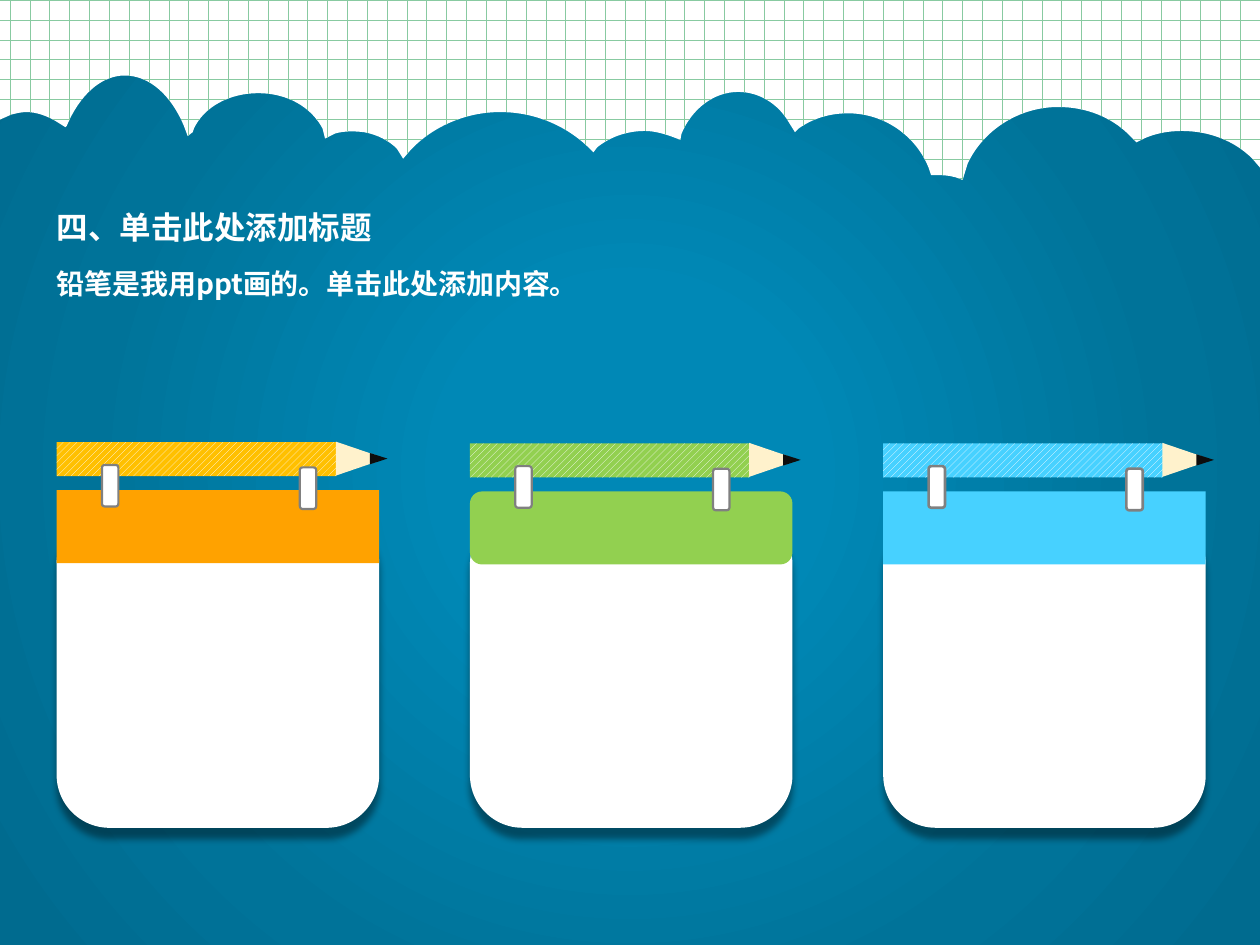
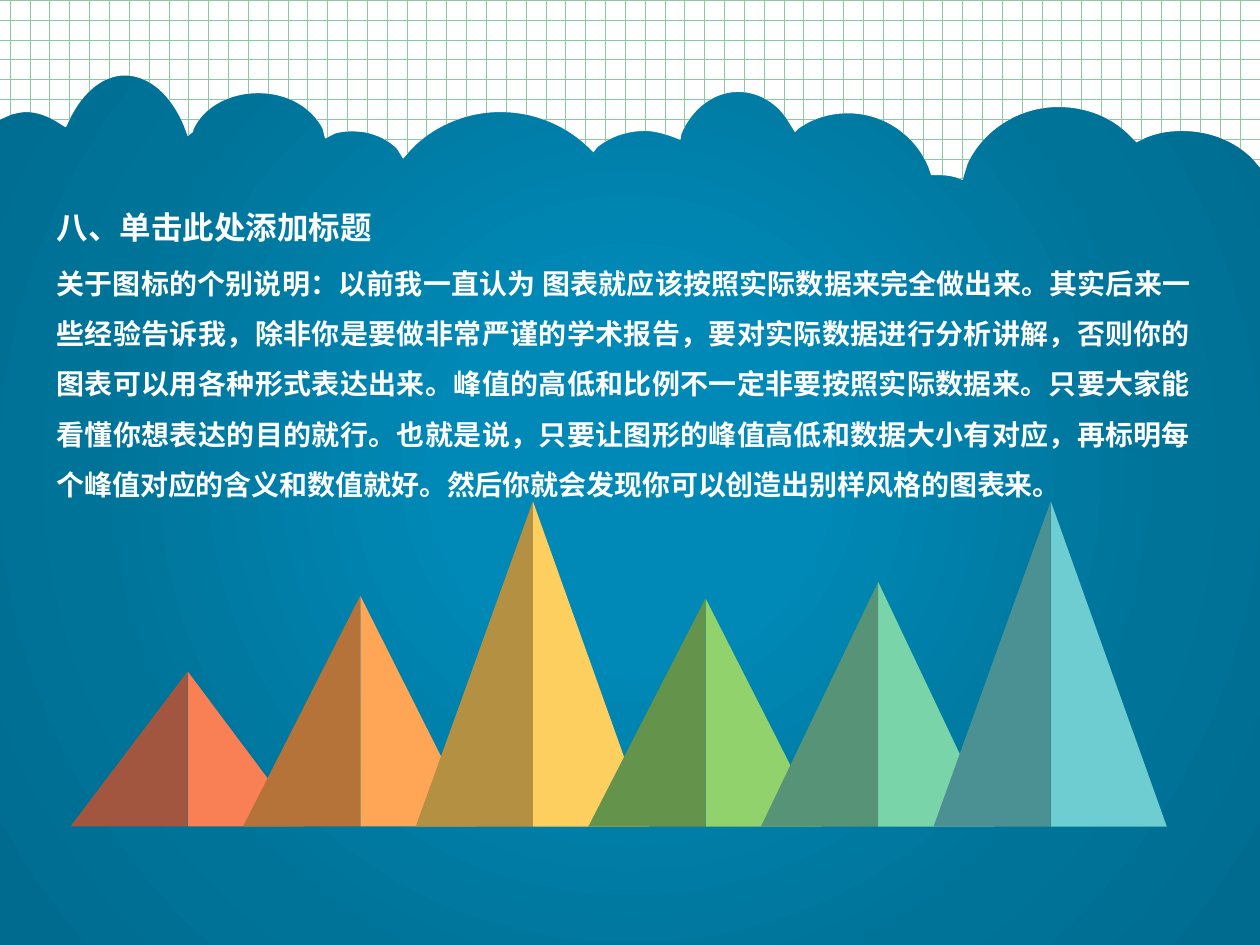
from lxml import etree
from pptx import Presentation, util as u
from pptx.dml.color import RGBColor
from pptx.enum import dml, shapes, text
from pptx.oxml.ns import nsdecls, qn

PX = 9144  # 100 px to the inch
WIDTH, HEIGHT = 1000, 750
FONT = "Noto Sans CJK SC"
WHITE, GREY, WOOD, LEAD = "FFFFFF", "808080", "FFF2CC", "0D0D0D"
GRID_GREEN = "88CAA1"
BACKGROUND_STOPS = [(0, "0088B6"), (23, "0088B6"), (69, "007399"), (97, "006B8F")]
SHAPE = shapes.MSO_SHAPE
PATTERN = dml.MSO_PATTERN

# Lower edge of the sky from right to left: pairs are corners, sixes are Bezier curves
CLOUD_EDGE = [
    (1000, 133), (994, 126), (980, 112, 960, 104, 938, 104),
    (927, 104, 917, 106, 908, 110), (902, 113), (896, 107),
    (882, 93, 862, 85, 840, 85), (808, 85, 780, 104, 768, 130),
    (764, 143), (762, 142), (757, 140, 751, 139, 745, 139), (739, 139), (737, 133),
    (727, 108, 702, 90, 673, 90), (659, 90, 645, 94, 634, 102), (631, 105), (626, 97),
    (618, 83, 603, 73, 586, 73), (566, 73, 549, 87, 541, 106), (540, 111), (532, 108),
    (526, 106, 519, 104, 512, 104), (497, 104, 484, 109, 474, 117), (471, 121), (470, 120),
    (452, 101, 426, 89, 397, 89), (369, 89, 343, 101, 326, 119), (320, 126), (315, 118),
    (309, 112, 300, 107, 289, 105), (281, 104, 273, 104, 266, 106), (258, 110), (256, 102),
    (247, 85, 228, 74, 205, 74), (182, 74, 162, 85, 154, 102), (153, 105), (149, 108),
    (146, 100), (136, 76, 119, 60, 99, 60), (80, 60, 63, 76, 53, 100), (52, 101), (44, 96),
    (37, 92, 29, 89, 21, 89), (17, 89, 13, 90, 9, 91), (0, 95),
]

# Colour, band shape, top and clip outline of each note card
CARDS = [
    ("FFC000", "FFA200", SHAPE.RECTANGLE, 351, 1.25),
    ("92D050", "92D050", SHAPE.FLOWCHART_ALTERNATE_PROCESS, 352, 1.25),
    ("47D1FF", "47D1FF", SHAPE.RECTANGLE, 352, 1.5),
]

# Height, lit side and shaded side of each peak
PEAKS = [
    (123, "F97F55", "A25640"), (183, "FFA656", "B5733A"), (258, "FDCF5E", "B49043"),
    (181, "91D26D", "64934B"), (194, "7AD4A9", "579377"), (258, "6DCDD1", "4B9193"),
]

PENCIL_TEXT = "铅笔是我用ppt画的。单击此处添加内容。"
CHART_TEXT = (
    "关于图标的个别说明：以前我一直认为 图表就应该按照实际数据来完全做出来。"
    "其实后来一些经验告诉我，除非你是要做非常严谨的学术报告，要对实际数据进行分析讲解，"
    "否则你的图表可以用各种形式表达出来。峰值的高低和比例不一定非要按照实际数据来。"
    "只要大家能看懂你想表达的目的就行。也就是说，只要让图形的峰值高低和数据大小有对应，"
    "再标明每个峰值对应的含义和数值就好。然后你就会发现你可以创造出别样风格的图表来。"
)


def color(value):
    return RGBColor.from_string(value)


def paint(shape, fill, pattern=None, foreground=WHITE, line=None, line_width=1):
    """Set fill and outline, and take off the theme shadow."""
    shape.shadow.inherit = False
    if pattern:
        shape.fill.patterned()
        shape.fill.pattern = pattern
        shape.fill.fore_color.rgb = color(foreground)
        shape.fill.back_color.rgb = color(fill)
    else:
        shape.fill.solid()
        shape.fill.fore_color.rgb = color(fill)
    if line:
        shape.line.color.rgb = color(line)
        shape.line.width = u.Pt(line_width)
    else:
        shape.line.fill.background()


def add_shape(slide, kind, left, top, width, height, fill, rotation=0, **style):
    box = [value * PX for value in (left, top, width, height)]
    shape = slide.shapes.add_shape(kind, *box)
    shape.rotation = rotation
    paint(shape, fill, **style)
    return shape


def add_text(slide, content, left, top, width, height, size, spacing):
    box = [value * PX for value in (left, top, width, height)]
    frame = slide.shapes.add_textbox(*box).text_frame
    frame.word_wrap = True
    frame.auto_size = text.MSO_AUTO_SIZE.SHAPE_TO_FIT_TEXT
    paragraph = frame.paragraphs[0]
    paragraph.alignment = text.PP_ALIGN.JUSTIFY
    paragraph.line_spacing = spacing
    run = paragraph.add_run()
    run.text = content
    run.font.size = u.Pt(size)
    run.font.bold = True
    run.font.color.rgb = color(WHITE)
    run.font.name = FONT
    east_asian = etree.SubElement(run.font._element, qn("a:ea"))
    east_asian.set("typeface", FONT)


def add_drop_shadow(shape):
    effects = shape.element.spPr.find(qn("a:effectLst"))
    effects.append(etree.fromstring(
        f'<a:outerShdw {nsdecls("a")} blurRad="{u.Pt(4)}" dist="{u.Pt(6)}" dir="5400000" '
        'algn="t" rotWithShape="0"><a:srgbClr val="000000"><a:alpha val="40000"/>'
        '</a:srgbClr></a:outerShdw>'))


def set_background(master):
    """Give every slide the round blue gradient."""
    master.background.fill.gradient()
    gradient = master.element.find(".//" + qn("a:gradFill"))
    stops = "".join(f'<a:gs pos="{position * 1000}"><a:srgbClr val="{value}"/></a:gs>'
                    for position, value in BACKGROUND_STOPS)
    gradient.getparent().replace(gradient, etree.fromstring(
        f'<a:gradFill {nsdecls("a")} rotWithShape="1"><a:gsLst>{stops}</a:gsLst>'
        '<a:path path="circle"><a:fillToRect l="50000" t="50000" r="50000" b="50000"/>'
        '</a:path></a:gradFill>'))


def bend(segment, curve):
    """Turn a straight segment of an outline into a Bezier curve."""
    segment.tag = qn("a:cubicBezTo")
    for index in (0, 1):
        x, y = curve[2 * index:2 * index + 2]
        control = etree.Element(qn("a:pt"), x=str(x * PX), y=str(y * PX))
        segment.insert(index, control)


def add_sky(slide):
    builder = slide.shapes.build_freeform(0, 0, scale=1.0)
    corners = [(WIDTH, 0)] + [part[-2:] for part in CLOUD_EDGE]
    builder.add_line_segments([(x * PX, y * PX) for x, y in corners], close=True)
    sky = builder.convert_to_shape()
    segments = list(sky.element.iter(qn("a:lnTo")))[1:]
    for segment, part in zip(segments, CLOUD_EDGE):
        if len(part) == 6:
            bend(segment, part)
    paint(sky, WHITE, pattern=PATTERN.DOTTED_GRID, foreground=GRID_GREEN)


def add_content_slide(presentation, title, body, body_height):
    """Start a slide with its sky, title and body text."""
    slide = presentation.slides.add_slide(presentation.slide_layouts[6])
    add_sky(slide)
    add_text(slide, body, 35, 193, 921, body_height, size=16, spacing=1.5)
    add_text(slide, title, 35, 138, 921, 63, size=18, spacing=1.73)
    return slide


def add_pencil(slide, left, top, fill):
    add_shape(slide, SHAPE.RECTANGLE, left, top, 222, 27, fill,
              pattern=PATTERN.WIDE_UPWARD_DIAGONAL)
    wood = add_shape(slide, SHAPE.TRAPEZOID, left + 224, top - 3, 27, 32, WOOD, rotation=90)
    wood.adjustments[0] = 0.405
    add_shape(slide, SHAPE.ISOSCELES_TRIANGLE, left + 251, top + 6, 9, 14, LEAD, rotation=90)


def add_card(slide, left, top, bottom, pencil, band, band_kind, clip_line):
    """A sheet with a coloured band, hung from a pencil by two clips."""
    rounded = SHAPE.FLOWCHART_ALTERNATE_PROCESS
    add_pencil(slide, left, top, pencil)
    sheet_top = top + 54
    sheet = add_shape(slide, rounded, left, sheet_top, 256, bottom - sheet_top, WHITE)
    add_drop_shadow(sheet)
    add_shape(slide, band_kind, left, top + 38, 256, 58, band)
    for x, y in ((36, 18), (193, 20)):
        add_shape(slide, rounded, left + x, top + y, 13, 33, WHITE,
                  line=GREY, line_width=clip_line)


def add_peak(slide, left, base, height, lit, shaded):
    """A peak of two right triangles, the left one mirrored."""
    top = base - height
    add_shape(slide, SHAPE.RIGHT_TRIANGLE, left + 93, top, 92, height, lit)
    shade = add_shape(slide, SHAPE.RIGHT_TRIANGLE, left, top, 93, height, shaded)
    shade.element.spPr.xfrm.set("flipH", "1")


def main():
    presentation = Presentation()
    presentation.slide_width = WIDTH * PX
    presentation.slide_height = HEIGHT * PX
    set_background(presentation.slide_master)

    # Note cards
    slide = add_content_slide(presentation, "四、单击此处添加标题", PENCIL_TEXT, 50)
    for index, (pencil, band, band_kind, top, clip_line) in enumerate(CARDS):
        add_card(slide, 45 + index * 328, top, 657, pencil, band, band_kind, clip_line)

    # Peaks
    slide = add_content_slide(presentation, "八、单击此处添加标题", CHART_TEXT, 212)
    for index, (height, lit, shaded) in enumerate(PEAKS):
        add_peak(slide, 56 + index * 137, 656, height, lit, shaded)

    presentation.save("out.pptx")


if __name__ == "__main__":
    main()
